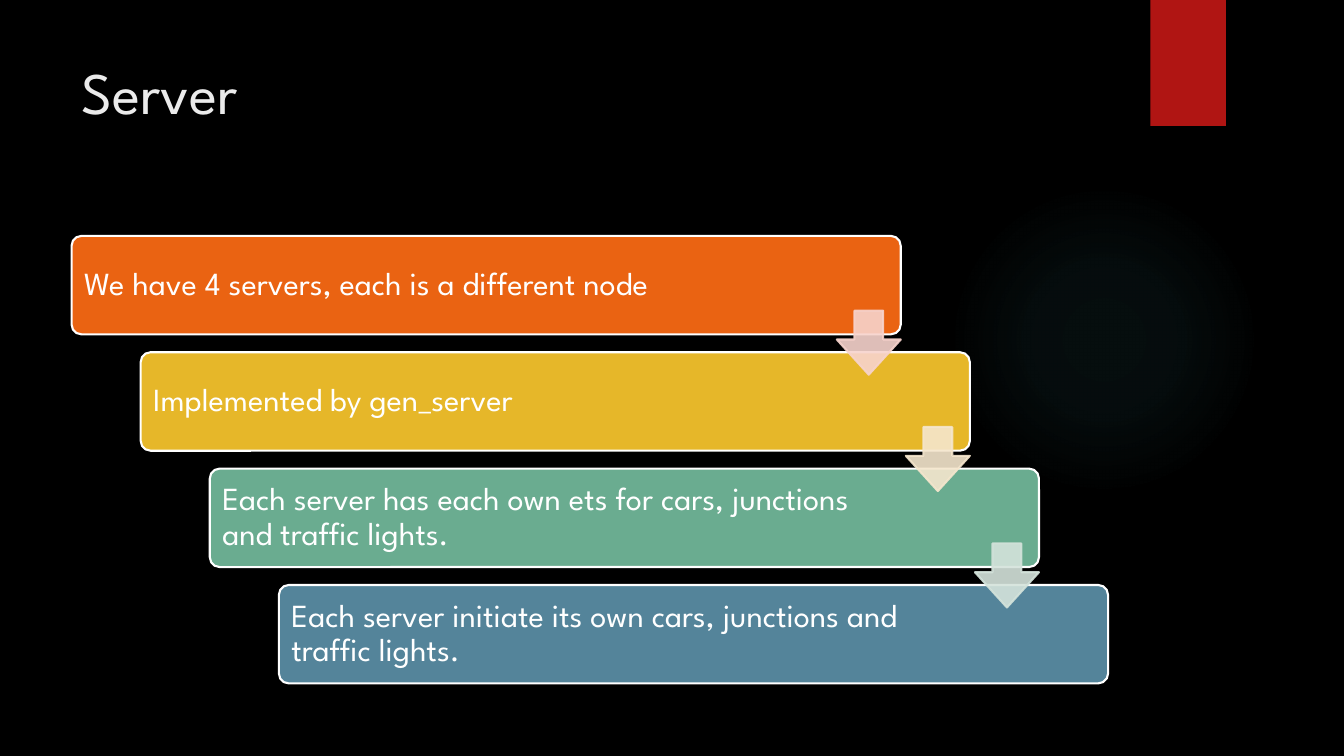
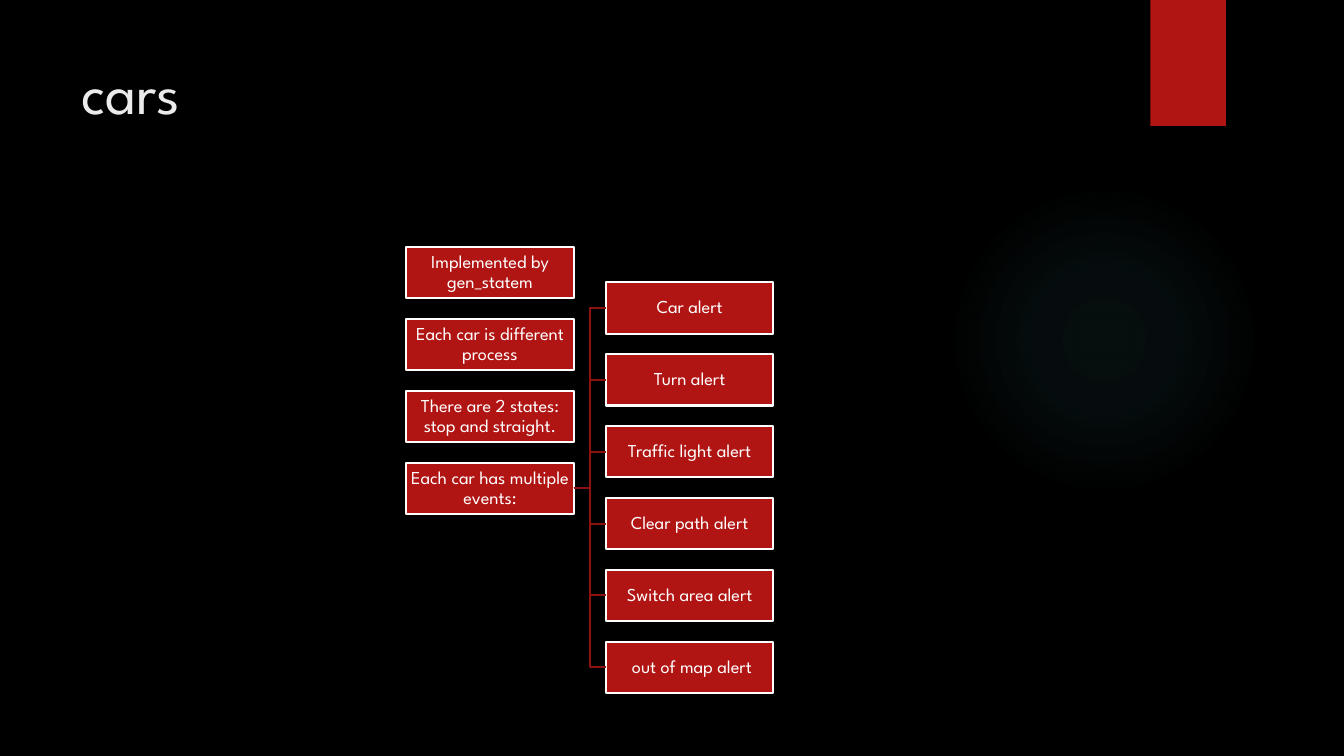
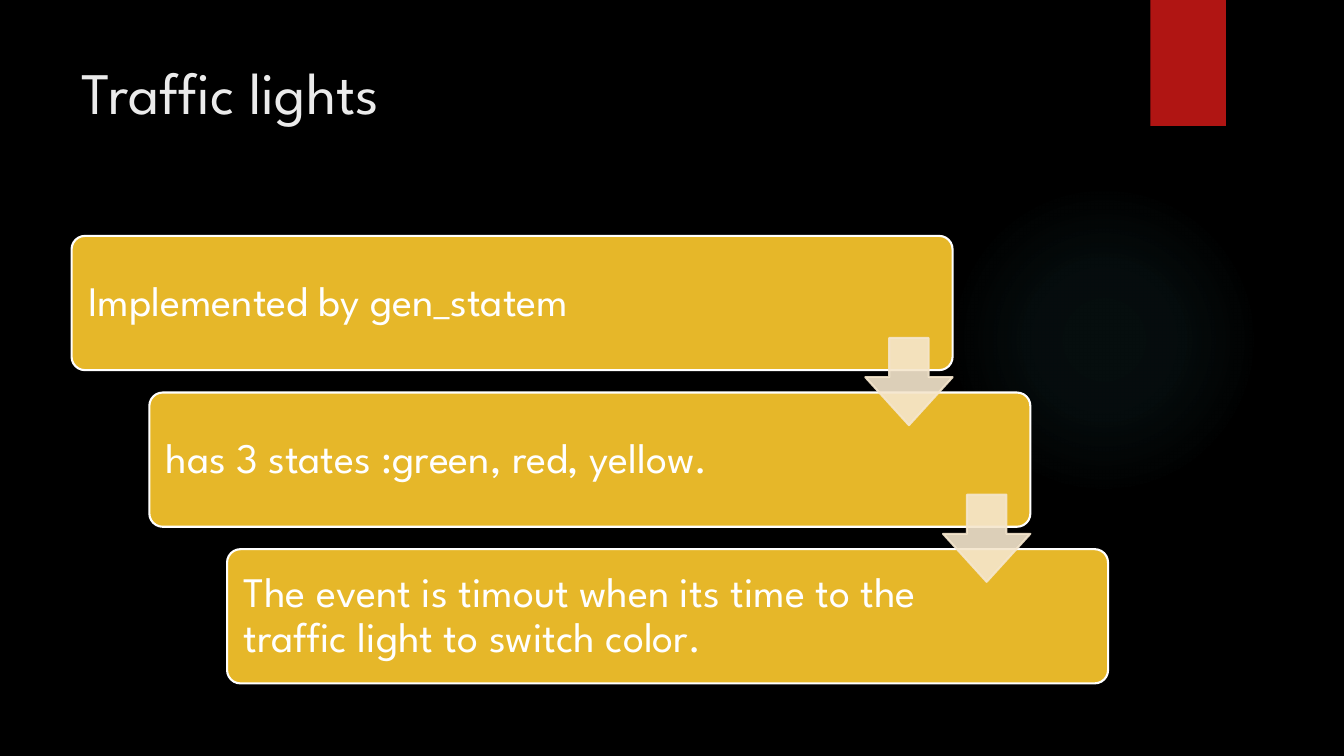
from dataclasses import dataclass

from pptx import Presentation
from pptx import util as u
from pptx.dml.color import RGBColor
from pptx.enum import shapes, text
from pptx.oxml import parse_xml
from pptx.oxml.ns import nsdecls, qn


@dataclass(frozen=True)
class Theme:
    font: str = "League Spartan"
    back: str = "000000"
    title: str = "EBEBEB"
    white: str = "FFFFFF"
    red: str = "B01513"
    dark_red: str = "8D110F"
    glow: str = "50B9C1"
    orange: str = "EA6312"
    gold: str = "E6B729"
    green: str = "6AAC90"
    blue: str = "54849A"
    pale_orange: str = "F7D3CC"
    pale_gold: str = "F5E6CD"
    pale_green: str = "D4E3DB"
    title_size: int = 42
    large: int = 30
    medium: int = 23
    small: int = 13
    line: float = 1.5


@dataclass(frozen=True)
class Box:
    left: float
    top: float
    width: float
    height: float

    def inches(self):
        return [u.Inches(side) for side in (self.left, self.top, self.width, self.height)]


THEME = Theme()
TITLE_BOX = Box(0.71, 0.5, 10.29, 1.53)
CONTENT = Box(0.71, 2.34, 10.28, 4.44)


def rgb(colour):
    return RGBColor.from_string(colour)


def set_values(target, values):
    for name, value in values.items():
        setattr(target, name, value)


def add_block(page, kind, box, fill=None, line=None, adjustments=()):
    block = page.shapes.add_shape(kind, *box.inches())
    block.shadow.inherit = False
    for index, value in enumerate(adjustments):
        block.adjustments[index] = value
    if fill:
        block.fill.solid()
        block.fill.fore_color.rgb = rgb(fill)
    if line:
        block.line.color.rgb = rgb(line)
        block.line.width = u.Pt(THEME.line)
    else:
        block.line.fill.background()
    return block


def write(block, words, size, align, insets):
    frame = block.text_frame
    left, top, right, bottom = [u.Inches(inset) for inset in insets]
    set_values(frame, {
        "word_wrap": True, "vertical_anchor": text.MSO_ANCHOR.MIDDLE,
        "margin_left": left, "margin_top": top,
        "margin_right": right, "margin_bottom": bottom,
    })
    para = frame.paragraphs[0]
    set_values(para, {"alignment": align, "line_spacing": 0.9})
    span = para.add_run()
    span.text = words
    set_values(span.font, {"name": THEME.font, "size": u.Pt(size)})
    span.font.color.rgb = rgb(THEME.white)


def fade(block, percent):
    for colour in block.element.spPr.iter(qn("a:srgbClr")):
        colour.append(parse_xml(f'<a:alpha {nsdecls("a")} val="{percent * 1000}"/>'))


def add_glow(page, box):
    glow = add_block(page, shapes.MSO_SHAPE.OVAL, box)
    stops = "".join(
        f'<a:gs pos="{place * 1000}"><a:srgbClr val="{THEME.glow}">'
        f'<a:alpha val="{alpha * 1000}"/></a:srgbClr></a:gs>'
        for place, alpha in ((0, 7), (36, 6), (69, 0)))
    gradient = parse_xml(
        f'<a:gradFill {nsdecls("a")}><a:gsLst>{stops}</a:gsLst><a:path path="circle">'
        '<a:fillToRect l="50000" t="50000" r="50000" b="50000"/></a:path></a:gradFill>')
    glow.element.spPr.find(qn("a:prstGeom")).addnext(gradient)
    return glow


def add_flag(page, box):
    flag = add_block(page, shapes.MSO_SHAPE.RECTANGLE, box, THEME.red)
    flag.element.spPr.find(qn("a:effectLst")).append(parse_xml(
        f'<a:outerShdw {nsdecls("a")} blurRad="{u.Pt(3)}" dist="{u.Pt(2)}" dir="5400000">'
        f'<a:srgbClr val="{THEME.back}"><a:alpha val="45000"/></a:srgbClr></a:outerShdw>'))
    return flag


def style_title(holder, box):
    left, top, width, height = box.inches()
    set_values(holder, {"left": left, "top": top, "width": width, "height": height})
    frame = holder.text_frame
    set_values(frame, {"vertical_anchor": text.MSO_ANCHOR.TOP,
                       "auto_size": text.MSO_AUTO_SIZE.NONE})
    levels = holder.element.txBody.find(qn("a:lstStyle"))
    levels.append(parse_xml(
        f'<a:lvl1pPr {nsdecls("a")} algn="l"><a:defRPr sz="{THEME.title_size * 100}">'
        f'<a:solidFill><a:srgbClr val="{THEME.title}"/></a:solidFill>'
        f'<a:latin typeface="{THEME.font}"/></a:defRPr></a:lvl1pPr>'))


def dress_layout(layout, page):
    layout.background.fill.solid()
    layout.background.fill.fore_color.rgb = rgb(THEME.back)
    for holder in list(layout.placeholders):
        if holder.placeholder_format.type == shapes.PP_PLACEHOLDER.TITLE:
            style_title(holder, TITLE_BOX)
        else:
            holder.element.getparent().remove(holder.element)
    decor = (add_glow(page, Box(9.41, 1.83, 3.08, 3.08)),
             add_flag(page, Box(11.41, 0, 0.75, 1.25)))
    for index, part in enumerate(decor, start=2):
        layout.shapes.element.insert(index, part.element)


def add_staircase(page, area, steps, arrows, size, wide, high):
    width, height = area.width * wide, area.height * high
    shift = (area.width - width) / (len(steps) - 1)
    drop = (area.height - height) / (len(steps) - 1)
    arrow, inset = height * 0.65, size / 240
    boxes = [Box(area.left + row * shift, area.top + row * drop, width, height)
             for row in range(len(steps))]
    for box, (words, fill) in zip(boxes, steps):
        block = add_block(page, shapes.MSO_SHAPE.ROUNDED_RECTANGLE, box, fill, THEME.white, [0.1])
        write(block, words, size, text.PP_ALIGN.LEFT, (inset, inset, arrow + 0.8, inset))
    for box, colour in zip(boxes, arrows):
        place = Box(box.left + width - arrow, box.top + height * 0.76, arrow, arrow)
        pointer = add_block(page, shapes.MSO_SHAPE.DOWN_ARROW, place, colour, colour, [0.45, 0.55])
        fade(pointer, 90)


def add_column(page, left, top, labels):
    blocks = []
    for row, words in enumerate(labels):
        box = Box(left, top + row * 0.713, 1.66, 0.51)
        block = add_block(page, shapes.MSO_SHAPE.RECTANGLE, box, THEME.red, THEME.white)
        write(block, words, THEME.small, text.PP_ALIGN.CENTER, (0.01,) * 4)
        blocks.append(block)
    return blocks


def add_tree(page, area, facts, events):
    left = area.left + 3.32
    parent = add_column(page, left, area.top + 0.11, facts)[-1]
    for child in add_column(page, left + 1.98, area.top + 0.46, events):
        branch = page.shapes.add_connector(shapes.MSO_CONNECTOR.ELBOW, 0, 0, 0, 0)
        branch.begin_connect(parent, 3)
        branch.end_connect(child, 1)
        branch.line.color.rgb = rgb(THEME.dark_red)
        branch.line.width = u.Pt(THEME.line)
        branch.element.spPr.append(parse_xml(f'<a:effectLst {nsdecls("a")}/>'))


def main():
    deck = Presentation()
    set_values(deck, {"slide_width": u.Inches(13.33), "slide_height": u.Inches(7.5)})
    layout = deck.slide_layouts[5]
    titles = ("Server", "cars", "Traffic lights")
    server, cars, lights = pages = [deck.slides.add_slide(layout) for _ in titles]
    dress_layout(layout, server)
    for page, title in zip(pages, titles):
        page.shapes.title.text_frame.text = title

    add_staircase(server, CONTENT, [
        ("We have 4 servers, each is a different node", THEME.orange),
        ("Implemented by gen_server", THEME.gold),
        ("Each server has each own ets for cars, junctions and traffic lights.", THEME.green),
        ("Each server initiate its own cars, junctions and traffic lights.", THEME.blue),
    ], [THEME.pale_orange, THEME.pale_gold, THEME.pale_green], THEME.medium, 0.8, 0.22)

    add_tree(cars, CONTENT, [
        "Implemented by gen_statem",
        "Each car is different process",
        "There are 2 states: stop and straight.",
        "Each car has multiple events:",
    ], [
        "Car alert", "Turn alert", "Traffic light alert",
        "Clear path alert", "Switch area alert", " out of map alert",
    ])

    add_staircase(lights, CONTENT, [
        ("Implemented by gen_statem", THEME.gold),
        ("has 3 states :green, red, yellow.", THEME.gold),
        ("The event is timout when its time to the traffic light to switch color.", THEME.gold),
    ], [THEME.pale_gold] * 2, THEME.large, 0.85, 0.3)

    deck.save("out.pptx")


if __name__ == "__main__":
    main()
